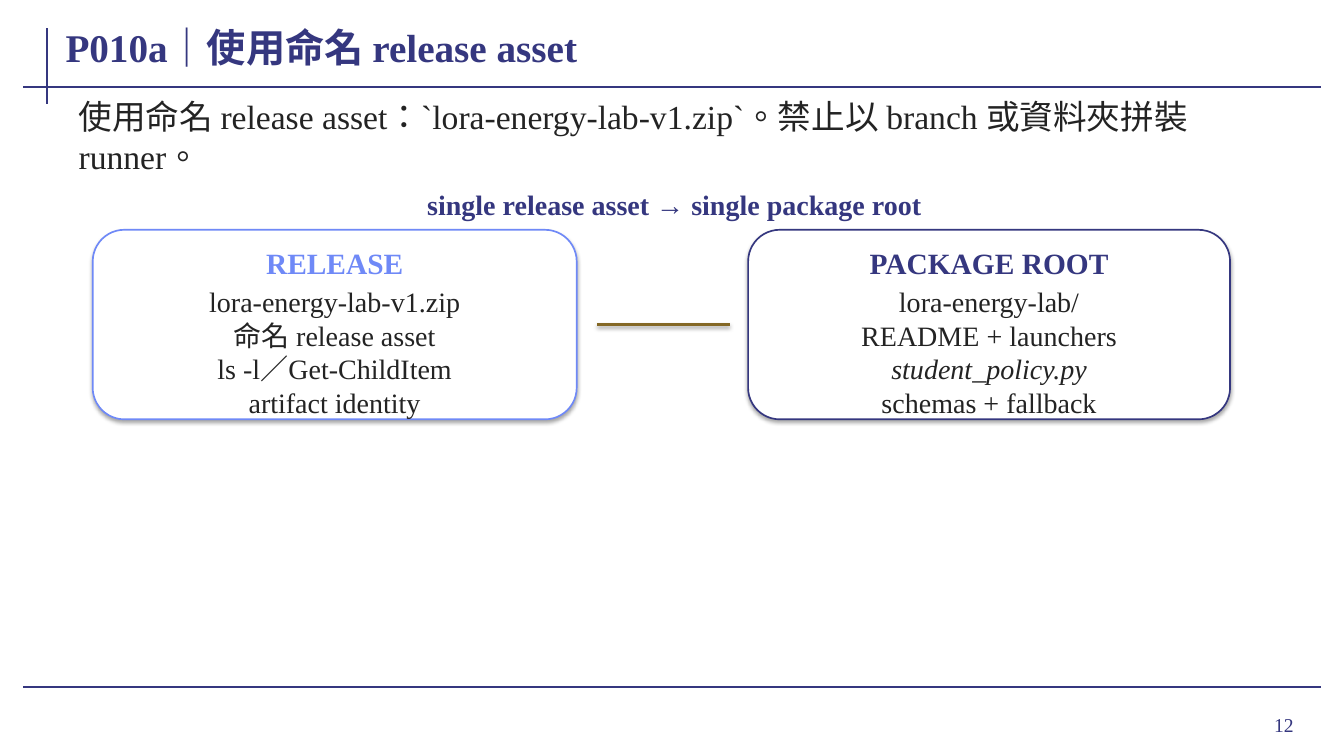
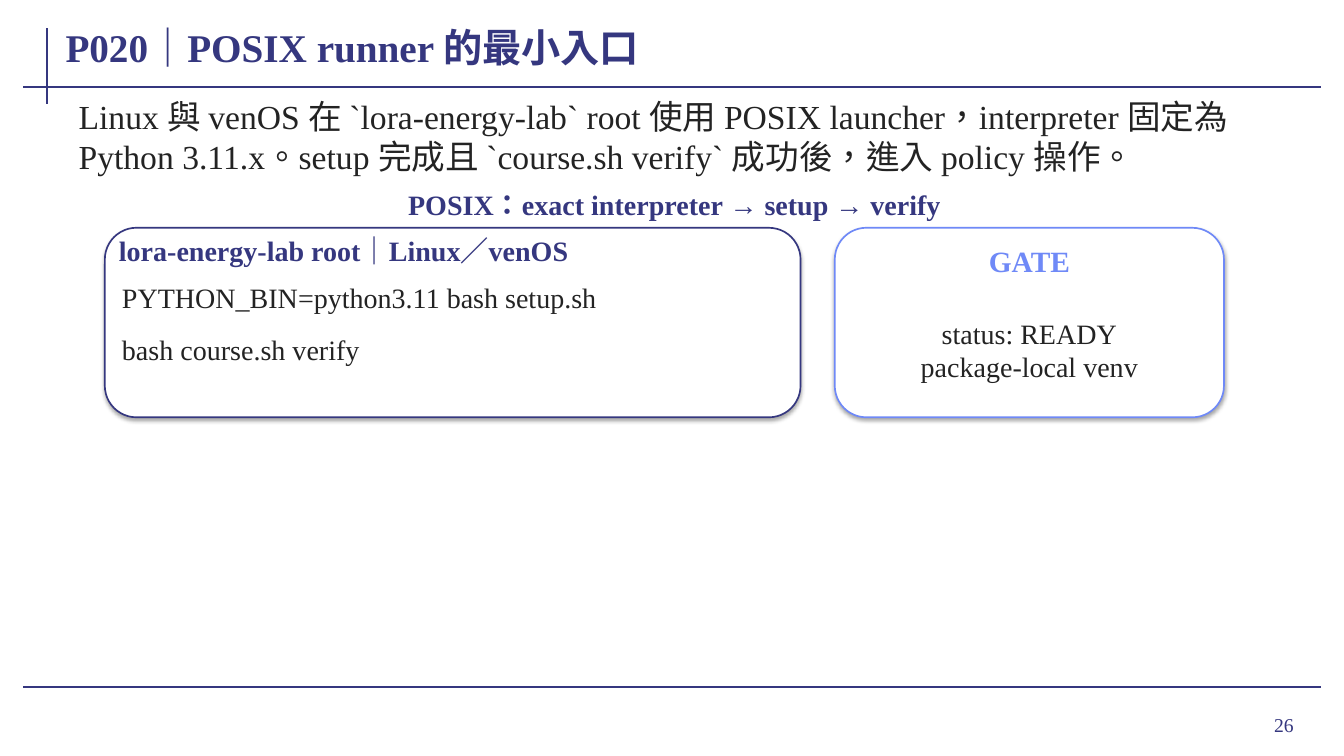
"""Build two course slides about the release asset and the POSIX runner."""
import dataclasses

import pptx
import pptx.dml.color
import pptx.enum.lang
import pptx.enum.shapes
import pptx.enum.text
import pptx.oxml
import pptx.oxml.ns
import pptx.presentation
import pptx.shapes.base
import pptx.slide
import pptx.text.text
import pptx.util

Inches = pptx.util.Inches
RGBColor = pptx.dml.color.RGBColor
Align = pptx.enum.text.PP_ALIGN
Anchor = pptx.enum.text.MSO_ANCHOR
Fit = pptx.enum.text.MSO_AUTO_SIZE

NAVY = RGBColor(0x35, 0x37, 0x7F)
BLUE = RGBColor(0x6F, 0x89, 0xF7)
GOLD = RGBColor(0x84, 0x68, 0x26)
INK = RGBColor(0x23, 0x23, 0x23)
WHITE = RGBColor(0xFF, 0xFF, 0xFF)
FONT = "Times New Roman"
CARD_HIGH = 1.88
RULES = ((0.47, 0.28, 0.47, 1.03), (0.23, 0.86, 13.1, 0.86), (0.23, 6.82, 13.1, 6.82))


@dataclasses.dataclass(frozen=True)
class Box:
    """Place and size in inches."""
    left: float
    top: float
    width: float
    height: float


@dataclasses.dataclass(frozen=True)
class Style:
    """Look of one block of text."""
    size: int
    color: RGBColor
    bold: bool = False
    align: Align = Align.LEFT
    anchor: Anchor = Anchor.MIDDLE
    side: float = 0.02
    edge: float = 0
    fit: Fit = Fit.SHAPE_TO_FIT_TEXT


@dataclasses.dataclass(frozen=True)
class Span:
    """One line of text."""
    text: str
    slant: bool = False


@dataclasses.dataclass(frozen=True)
class Card:
    """Rounded panel with a centred head and list."""
    left: float
    top: float
    width: float
    color: RGBColor
    head: str
    lines: tuple[Span, ...]


@dataclasses.dataclass(frozen=True)
class Page:
    """Shared text of one slide."""
    title: str
    intro: str
    lead: str
    number: str


TITLE = Style(28, NAVY, True, side=0.03, edge=0.01, fit=Fit.NONE)
INTRO = Style(24, INK, anchor=Anchor.TOP, side=0.06, edge=0.02)
LEAD = Style(20, NAVY, True, Align.CENTER)
LABEL = Style(20, NAVY, True)
CODE = Style(20, INK)
LIST = Style(20, INK, align=Align.CENTER, side=0.03, edge=0.01)
NUMBER = Style(14, NAVY, align=Align.RIGHT, side=0.1, edge=0.05, fit=Fit.NONE)


def place(shape: pptx.shapes.base.BaseShape, box: Box) -> None:
    """Move a shape to its box."""
    shape.left, shape.top = Inches(box.left), Inches(box.top)
    shape.width, shape.height = Inches(box.width), Inches(box.height)


def write(frame: pptx.text.text.TextFrame, lines: tuple[Span, ...], style: Style) -> None:
    """Fill a text frame with styled lines."""
    frame.word_wrap = True
    frame.auto_size = style.fit
    frame.vertical_anchor = style.anchor
    frame.margin_left = frame.margin_right = Inches(style.side)
    frame.margin_top = frame.margin_bottom = Inches(style.edge)
    for index, line in enumerate(lines):
        para = frame.add_paragraph() if index else frame.paragraphs[0]
        para.alignment = style.align
        para.space_before = pptx.util.Pt(0)
        run = para.add_run()
        run.text = line.text
        font = run.font
        font.name, font.size = FONT, pptx.util.Pt(style.size)
        font.bold, font.italic = style.bold, line.slant
        font.color.rgb = style.color
        font.language_id = pptx.enum.lang.MSO_LANGUAGE_ID.TRADITIONAL_CHINESE


def add_text(slide: pptx.slide.Slide, box: Box, style: Style, *lines: Span) -> None:
    """Add a text box."""
    shape = slide.shapes.add_textbox(0, 0, 0, 0)
    place(shape, box)
    write(shape.text_frame, lines, style)


def add_glow(shape: pptx.shapes.base.BaseShape, alpha: int = 0, dist: float = 0) -> None:
    """Set a soft drop shadow, or none when alpha is zero."""
    inner = (
        f'<a:outerShdw blurRad="{pptx.util.Pt(3.1)}" dist="{pptx.util.Pt(dist)}" '
        f'dir="5400000" rotWithShape="0"><a:srgbClr val="000000">'
        f'<a:alpha val="{alpha * 1000}"/></a:srgbClr></a:outerShdw>'
    ) if alpha else ""
    space = pptx.oxml.ns.nsdecls("a")
    shape.element.spPr.append(
        pptx.oxml.parse_xml(f"<a:effectLst {space}>{inner}</a:effectLst>"))


def add_line(slide: pptx.slide.Slide, ends: tuple[float, float, float, float],
             color: RGBColor, width: float, alpha: int = 0) -> None:
    """Draw a straight line."""
    line = slide.shapes.add_connector(
        pptx.enum.shapes.MSO_CONNECTOR.STRAIGHT, *map(Inches, ends))
    line.line.color.rgb = color
    line.line.width = pptx.util.Pt(width)
    add_glow(line, alpha, 1.6)


def add_panel(slide: pptx.slide.Slide, box: Box, color: RGBColor) -> None:
    """Draw a white rounded panel."""
    panel = slide.shapes.add_shape(
        pptx.enum.shapes.MSO_SHAPE.ROUNDED_RECTANGLE, 0, 0, 0, 0)
    place(panel, box)
    panel.fill.solid()
    panel.fill.fore_color.rgb = WHITE
    panel.line.color.rgb = color
    panel.line.width = pptx.util.Pt(1.2)
    add_glow(panel, 35, 1.8)


def add_card(slide: pptx.slide.Slide, card: Card) -> None:
    """Draw a panel with its head and list."""
    add_panel(slide, Box(card.left, card.top, card.width, CARD_HIGH), card.color)
    head = Style(21, card.color, True, Align.CENTER, side=0.01)
    add_text(slide, Box(card.left + 0.14, card.top + 0.16, card.width - 0.28, 0.34),
             head, Span(card.head))
    add_text(slide, Box(card.left + 0.18, card.top + 0.66, card.width - 0.36, 1.1),
             LIST, *card.lines)


def add_page(deck: pptx.presentation.Presentation, page: Page) -> pptx.slide.Slide:
    """Add a slide with the shared frame and text."""
    slide = deck.slides.add_slide(deck.slide_layouts[1])
    for ends in RULES:
        add_line(slide, ends, NAVY, 1.5)
    add_text(slide, Box(11.96, 6.93, 0.97, 0.52), NUMBER, Span(page.number))
    title, body = slide.shapes.title, slide.placeholders[1]
    place(title, Box(0.62, 0.15, 12.49, 0.62))
    write(title.text_frame, (Span(page.title),), TITLE)
    place(body, Box(0.72, 0.93, 11.9, 0.84))
    write(body.text_frame, (Span(page.intro),), INTRO)
    props = body.text_frame.paragraphs[0]._p.get_or_add_pPr()
    props.set("marL", "0")
    props.set("indent", "0")
    props.append(pptx.oxml.parse_xml(f'<a:buNone {pptx.oxml.ns.nsdecls("a")}/>'))
    add_text(slide, Box(0.84, 1.87, 11.7, 0.32), LEAD, Span(page.lead))
    return slide


def add_asset(deck: pptx.presentation.Presentation) -> None:
    """Add the release asset slide."""
    slide = add_page(deck, Page(
        "P010a｜使用命名 release asset",
        "使用命名 release asset：`lora-energy-lab-v1.zip`。禁止以 branch 或資料夾拼裝 runner。",
        "single release asset → single package root", "12"))
    add_card(slide, Card(0.92, 2.28, 4.8, BLUE, "RELEASE", (
        Span("lora-energy-lab-v1.zip"), Span("命名 release asset"),
        Span("ls -l／Get-ChildItem"), Span("artifact identity"))))
    add_line(slide, (5.92, 3.22, 7.24, 3.22), GOLD, 2, 38)
    add_card(slide, Card(7.42, 2.28, 4.78, NAVY, "PACKAGE ROOT", (
        Span("lora-energy-lab/"), Span("README + launchers"),
        Span("student_policy.py", True), Span("schemas + fallback"))))


def add_runner(deck: pptx.presentation.Presentation) -> None:
    """Add the POSIX runner slide."""
    slide = add_page(deck, Page(
        "P020｜POSIX runner 的最小入口",
        "Linux 與 venOS 在 `lora-energy-lab` root 使用 POSIX launcher，interpreter 固定為 "
        "Python 3.11.x。setup 完成且 `course.sh verify` 成功後，進入 policy 操作。",
        "POSIX：exact interpreter → setup → verify", "26"))
    add_panel(slide, Box(1.04, 2.26, 6.9, CARD_HIGH), NAVY)
    add_text(slide, Box(1.16, 2.31, 6.66, 0.34), LABEL,
             Span("lora-energy-lab root｜Linux／venOS"))
    steps = ("PYTHON_BIN=python3.11 bash setup.sh", "bash course.sh verify")
    for index, step in enumerate(steps):
        add_text(slide, Box(1.19, 2.7 + 0.52 * index, 6.6, 0.5), CODE, Span(step))
    add_card(slide, Card(8.28, 2.26, 3.86, BLUE, "GATE", (
        Span("status: READY"), Span("package-local venv"))))


def main() -> None:
    """Build and save the deck."""
    deck = pptx.Presentation()
    deck.slide_width, deck.slide_height = Inches(13.33), Inches(7.5)
    add_asset(deck)
    add_runner(deck)
    deck.save("out.pptx")


if __name__ == "__main__":
    main()
